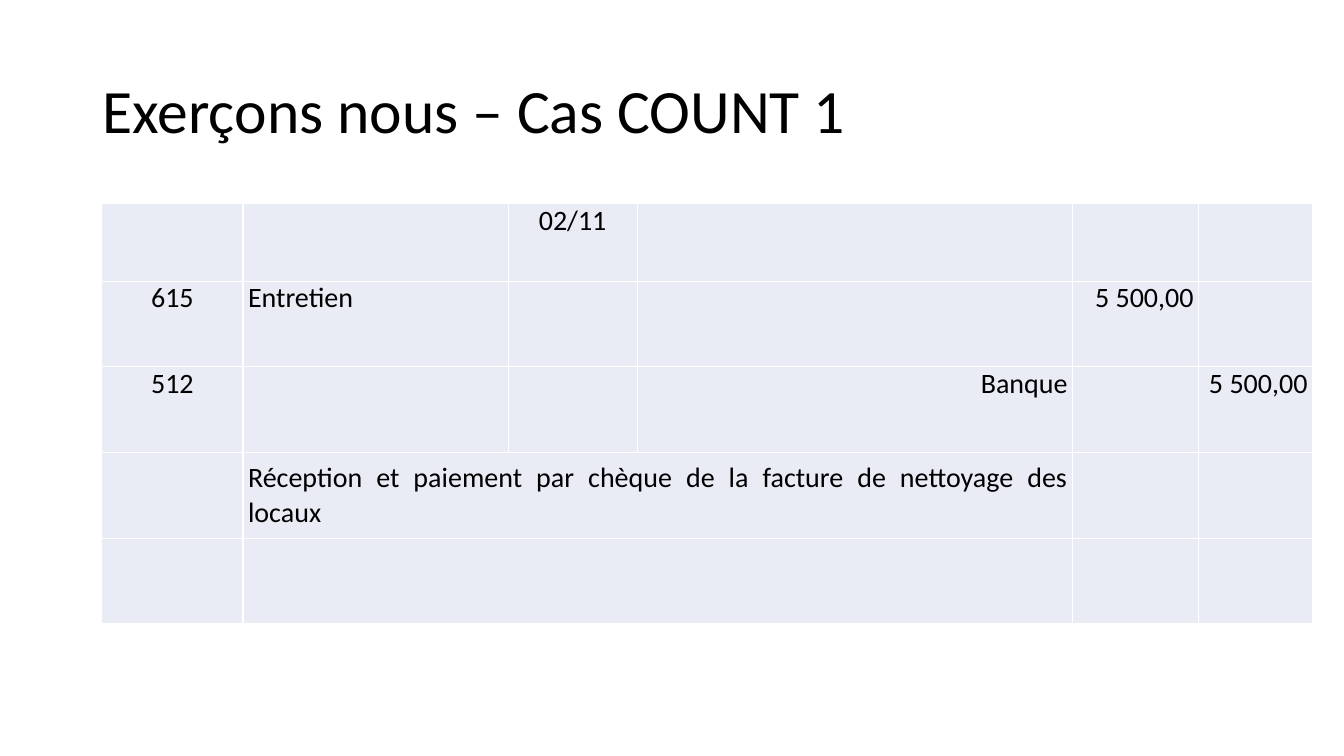
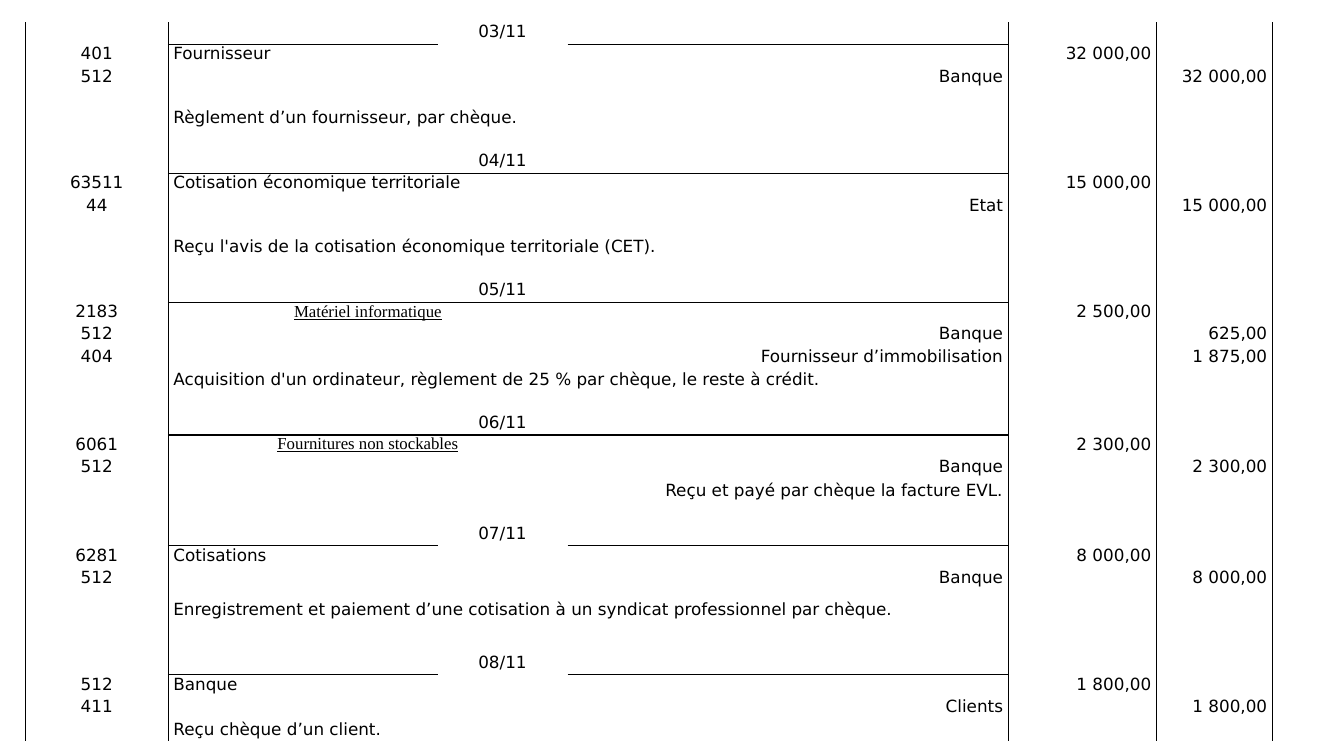
from itertools import product

from lxml.etree import SubElement
from pptx import Presentation
from pptx.dml.color import RGBColor
from pptx.enum.text import MSO_ANCHOR, PP_ALIGN
from pptx.oxml import parse_xml
from pptx.oxml.ns import nsdecls, qn
from pptx.util import Inches, Pt

COLOURS = {"ink": "000000", "paper": "FFFFFF", "cell": "E9EBF5"}
SIDES = ("L", "R", "T", "B")
CELL_FORMAT = {
    "margin_left": Inches(0.05),
    "margin_right": Inches(0.05),
    "margin_top": 0,
    "margin_bottom": 0,
}
TITLE_FONT = {"name": "Calibri", "size": Pt(44)}
ENTRY_FONT = {"name": "Calibri", "size": Pt(20)}
JOURNAL_FONT = {"name": "DejaVu Sans", "size": Pt(12)}
ACCOUNT_FONT = {"name": "Times New Roman", "underline": True}

TOP, MIDDLE = MSO_ANCHOR.TOP, MSO_ANCHOR.MIDDLE
LEFT, CENTER, RIGHT = PP_ALIGN.JUSTIFY, PP_ALIGN.CENTER, PP_ALIGN.RIGHT
DEBIT, CREDIT = 4, 5
KINDS = {
    "date": (2, 1, CENTER, TOP, None),
    "ruled date": (2, 1, CENTER, TOP, None),
    "debit": (1, 1, LEFT, TOP, DEBIT),
    "wide debit": (1, 2, LEFT, TOP, DEBIT),
    "named debit": (1, 2, CENTER, TOP, DEBIT),
    "credit": (3, 1, RIGHT, TOP, CREDIT),
    "note": (1, 3, LEFT, MIDDLE, None),
    "right note": (1, 3, RIGHT, MIDDLE, None),
    "blank": (1, 1, LEFT, TOP, None),
}

ENTRY = [
    ("date", "02/11"),
    ("debit", "Entretien", "615", "5 500,00"),
    ("credit", "Banque", "512", "5 500,00"),
    ("note", "Réception et paiement par chèque de la facture de nettoyage des locaux"),
    ("note", ""),
]
JOURNAL = [
    ("date", "03/11"),
    ("debit", "Fournisseur", "401", "32 000,00"),
    ("credit", "Banque", "512", "32 000,00"),
    ("note", "Règlement d’un fournisseur, par chèque."),
    ("blank", ""),
    ("ruled date", "04/11"),
    ("wide debit", "Cotisation économique territoriale", "63511", "15 000,00"),
    ("credit", "Etat", "44", "15 000,00"),
    ("note", "Reçu l'avis de la cotisation économique territoriale (CET)."),
    ("blank", ""),
    ("ruled date", "05/11"),
    ("named debit", "Matériel informatique", "2183", "2 500,00"),
    ("credit", "Banque", "512", "625,00"),
    ("credit", "Fournisseur d’immobilisation", "404", "1 875,00"),
    ("note", "Acquisition d'un ordinateur, règlement de 25 % par chèque, le reste à crédit."),
    ("blank", ""),
    ("ruled date", "06/11"),
    ("named debit", "Fournitures non stockables", "6061", "2 300,00"),
    ("credit", "Banque", "512", "2 300,00"),
    ("right note", "Reçu et payé par chèque la facture EVL."),
    ("blank", ""),
    ("date", "07/11"),
    ("debit", "Cotisations", "6281", "8 000,00"),
    ("credit", "Banque", "512", "8 000,00"),
    ("note", "Enregistrement et paiement d’une cotisation à un syndicat professionnel par chèque."),
    ("blank", ""),
    ("date", "08/11"),
    ("debit", "Banque", "512", "1 800,00"),
    ("credit", "Clients", "411", "1 800,00"),
    ("note", "Reçu chèque d’un client."),
]
TALL_JOURNAL_ROWS = {2, 7, 24}


def set_format(target, values):
    """Set each named attribute on the target."""
    for name, value in values.items():
        setattr(target, name, value)


def write(para, text, font, align=None):
    """Write one formatted line, or size the paragraph when it is empty."""
    para.alignment = align
    if not text:
        SubElement(para._p, qn("a:endParaRPr"), sz=str(int(font["size"].pt * 100)))
        return
    span = para.add_run()
    span.text = text
    set_format(span.font, font)
    span.font.color.rgb = RGBColor.from_string(COLOURS["ink"])


def set_edges(cell, edges):
    """Draw the four cell edges, each a colour name or None."""
    props = cell._tc.get_or_add_tcPr()
    for index, side in enumerate(SIDES):
        colour = edges[side]
        paint = (
            f'<a:solidFill><a:srgbClr val="{COLOURS[colour]}"/></a:solidFill>'
            if colour else "<a:noFill/>"
        )
        props.insert(index, parse_xml(f'<a:ln{side} {nsdecls("a")} w="12700">{paint}</a:ln{side}>'))


def grid_edges(rows, row, column, span):
    """Give every cell a pale border."""
    return dict.fromkeys(SIDES, "paper")


def ledger_edges(rows, row, column, span):
    """Rule the ledger columns and the line beneath each date."""
    uprights = {0, 1, 4, 5, 6}

    def ruled(index):
        """Tell whether this column is underlined beneath the given row."""
        if index < 0:
            return False
        kind = rows[index][0]
        return kind == "ruled date" and column in (1, 2, 3) or kind == "date" and column in (1, 3)

    marks = (column in uprights, column + span in uprights, ruled(row - 1), ruled(row))
    return {side: "ink" if mark else None for side, mark in zip(SIDES, marks)}


def add_journal(page, box, widths, heights, rows, font, fill, edges):
    """Place an accounting journal table in the box."""
    table = page.shapes.add_table(len(rows), len(widths), *map(Inches, box)).table
    set_format(table, {"first_row": False, "horz_banding": False})
    for column, width in zip(table.columns, widths):
        column.width = Inches(width)
    for line, height in zip(table.rows, heights):
        line.height = Inches(height)

    contents = {}
    for row, (kind, label, *figures) in enumerate(rows):
        start, span, align, anchor, amount_column = KINDS[kind]
        label_font = {**font, **ACCOUNT_FONT} if kind == "named debit" else font
        contents[row, start] = (label, label_font, align, anchor, span)
        if figures:
            account, amount = figures
            contents[row, 0] = (account, font, CENTER, TOP, 1)
            contents[row, amount_column] = (amount, font, RIGHT, TOP, 1)

    for row, column in product(range(len(rows)), range(len(widths))):
        text, cell_font, align, anchor, span = contents.get(
            (row, column), ("", font, LEFT, TOP, 1))
        cell = table.cell(row, column)
        set_format(cell, {**CELL_FORMAT, "vertical_anchor": anchor})
        cell.fill.solid()
        cell.fill.fore_color.rgb = RGBColor.from_string(COLOURS[fill])
        set_edges(cell, edges(rows, row, column, span))
        write(cell.text_frame.paragraphs[0], text, cell_font, align)
        if span > 1:
            cell.merge(table.cell(row, column + span - 1))


def add_title(page, box, text):
    """Place the slide title in the box."""
    frame = page.shapes.add_textbox(*map(Inches, box)).text_frame
    set_format(frame, {"word_wrap": True, "vertical_anchor": MIDDLE})
    para = frame.paragraphs[0]
    para.line_spacing = 0.9
    write(para, text, TITLE_FONT)


def build_exercise(page):
    """Build the titled slide with a single entry."""
    add_title(page, (0.92, 0.4, 11.5, 1.45), "Exerçons nous – Cas COUNT 1")
    add_journal(page, (1.01, 2.02, 12.02, 4.17), (1.4, 2.63, 1.28, 4.32, 1.25, 1.13),
                [0.77] + [0.85] * 4, ENTRY, ENTRY_FONT, "cell", grid_edges)


def build_ledger(page):
    """Build the full-page journal slide."""
    heights = [0.4 if row in TALL_JOURNAL_ROWS else 0.22 for row in range(len(JOURNAL))]
    add_journal(page, (0.25, 0.22, 12.37, 7.14), (1.42, 2.67, 1.29, 4.37, 1.47, 1.15),
                heights, JOURNAL, JOURNAL_FONT, "paper", ledger_edges)


def main():
    """Build and save the deck."""
    deck = Presentation()
    set_format(deck, {"slide_width": Inches(13.33), "slide_height": Inches(7.5)})
    for build in (build_exercise, build_ledger):
        build(deck.slides.add_slide(deck.slide_layouts[6]))
    deck.save("out.pptx")


if __name__ == "__main__":
    main()
